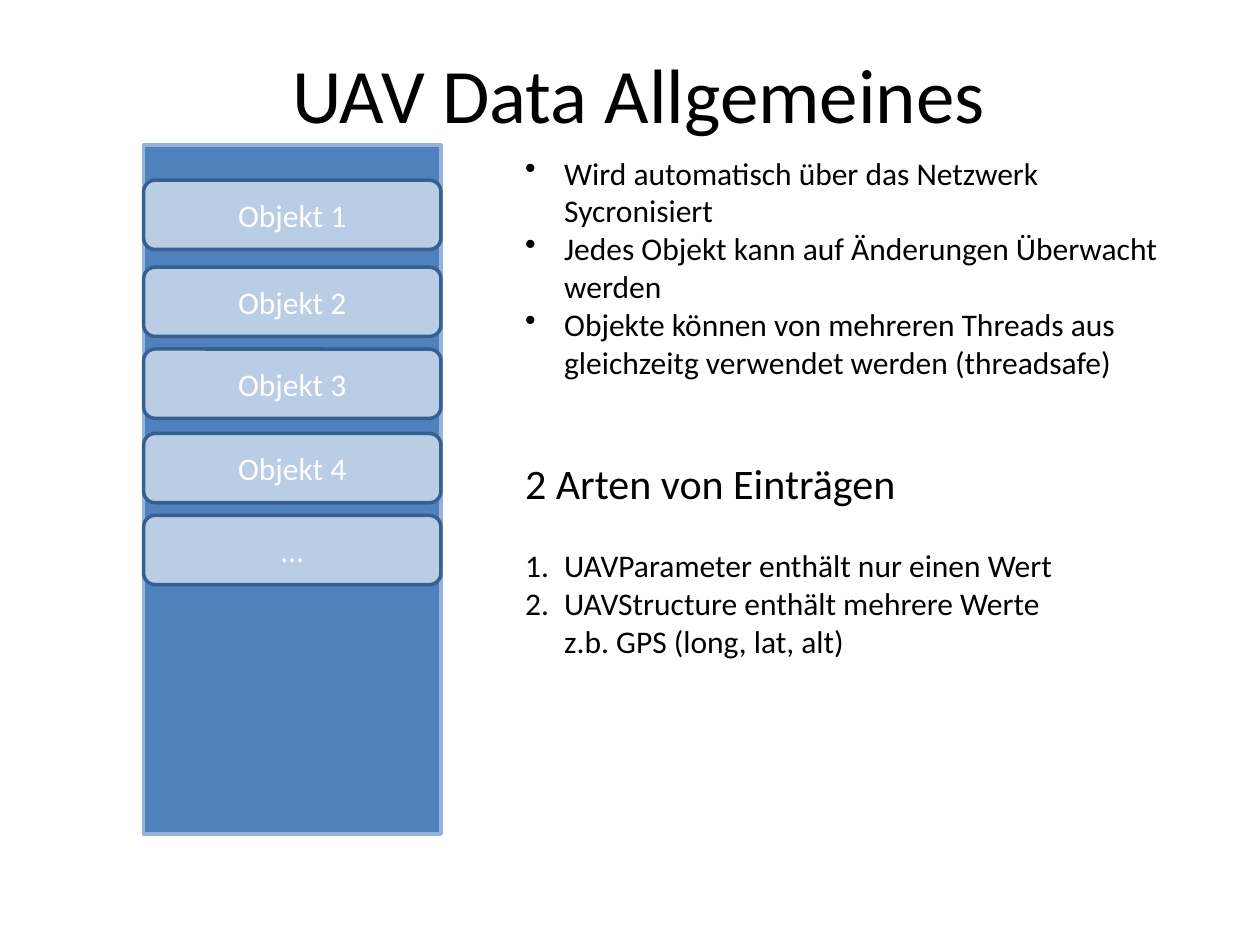
from dataclasses import dataclass
from lxml.etree import SubElement
from pptx import Presentation
from pptx.dml.color import RGBColor
from pptx.enum.shapes import MSO_SHAPE
from pptx.enum.text import MSO_ANCHOR, PP_ALIGN
from pptx.oxml.ns import qn
from pptx.shapes.autoshape import Shape
from pptx.slide import Slide
from pptx.text.text import TextFrame
from pptx.util import Inches, Pt


@dataclass
class Box:
    """Place and colours of one shape."""
    kind: MSO_SHAPE
    top: float
    height: float
    fill: str
    line: str


@dataclass
class Item:
    """One paragraph of the notes."""
    text: str
    mark: str = ""
    size: int = 18
    before: int = 0


LEFT, WIDTH = 1.14, 2.36
INDENT = 0.31
MARKS = {"dot": ("a:buChar", {"char": "•"}),
         "num": ("a:buAutoNum", {"type": "arabicPeriod"})}
OBJECTS = [("Objekt 1", 1.43), ("Objekt 2", 2.12), ("Objekt 3", 2.77),
           ("Objekt 4", 3.44), ("…", 4.09)]
NOTES = [
    Item("Wird automatisch über das Netzwerk Sycronisiert", "dot"),
    Item("Jedes Objekt kann auf Änderungen Überwacht werden", "dot"),
    Item("Objekte können von mehreren Threads aus gleichzeitg verwendet "
         "werden (threadsafe)", "dot"),
    Item("2 Arten von Einträgen", size=24, before=44),
    Item("UAVParameter enthält nur einen Wert", "num", before=22),
    Item("UAVStructure enthält mehrere Werte\vz.b. GPS (long, lat, alt)", "num"),
]


def paint(color: str) -> RGBColor:
    """Turn a hex string into a colour."""
    return RGBColor.from_string(color)


def write(frame: TextFrame, text: str, *, size: int = 18, color: str = "000000",
          align: PP_ALIGN = PP_ALIGN.LEFT, mark: str = "", indent: float = 0,
          before: int = 0, first: bool = True) -> None:
    """Write one formatted paragraph into a frame."""
    para = frame.paragraphs[0] if first else frame.add_paragraph()
    para.text = text
    para.alignment = align
    if before:
        para.space_before = Pt(before)
    props = para._p.get_or_add_pPr()
    if indent:
        props.set("marL", str(Inches(indent)))
        props.set("indent", str(-Inches(indent)))
    if mark:
        tag, attrs = MARKS[mark]
        SubElement(props, qn(tag), attrs)
    for run in para.runs:
        run.font.name = "Calibri"
        run.font.size = Pt(size)
        run.font.color.rgb = paint(color)


def draw(slide: Slide, box: Box) -> Shape:
    """Draw one filled and outlined shape in the column."""
    shape = slide.shapes.add_shape(box.kind, Inches(LEFT), Inches(box.top),
                                   Inches(WIDTH), Inches(box.height))
    shape.shadow.inherit = False
    shape.fill.solid()
    shape.fill.fore_color.rgb = paint(box.fill)
    shape.line.color.rgb = paint(box.line)
    shape.line.width = Pt(2)
    return shape


def frame(slide: Slide, left: float, top: float, width: float,
          height: float) -> TextFrame:
    """Add a wrapping text box and return its frame."""
    area = slide.shapes.add_textbox(Inches(left), Inches(top), Inches(width),
                                    Inches(height)).text_frame
    area.word_wrap = True
    return area


def main() -> None:
    """Build and save the slide."""
    deck = Presentation()
    deck.slide_width, deck.slide_height = Inches(10), Inches(7.5)
    slide = deck.slides.add_slide(deck.slide_layouts[6])

    draw(slide, Box(MSO_SHAPE.FLOWCHART_PROCESS, 1.15, 5.47, "4F81BD", "95B3D7"))
    title = frame(slide, 0.57, 0.11, 9, 1.25)
    title.vertical_anchor = MSO_ANCHOR.MIDDLE
    write(title, "UAV Data Allgemeines", size=44, align=PP_ALIGN.CENTER)

    for name, top in OBJECTS:
        card = draw(slide, Box(MSO_SHAPE.ROUNDED_RECTANGLE, top, 0.55,
                               "B9CDE5", "376092"))
        card.text_frame.vertical_anchor = MSO_ANCHOR.MIDDLE
        write(card.text_frame, name, color="FFFFFF", align=PP_ALIGN.CENTER)

    notes = frame(slide, 4.07, 1.17, 5.43, 4.1)
    for i, item in enumerate(NOTES):
        write(notes, item.text, size=item.size, mark=item.mark, indent=INDENT,
              before=item.before, first=i == 0)
    deck.save("out.pptx")


if __name__ == "__main__":
    main()
